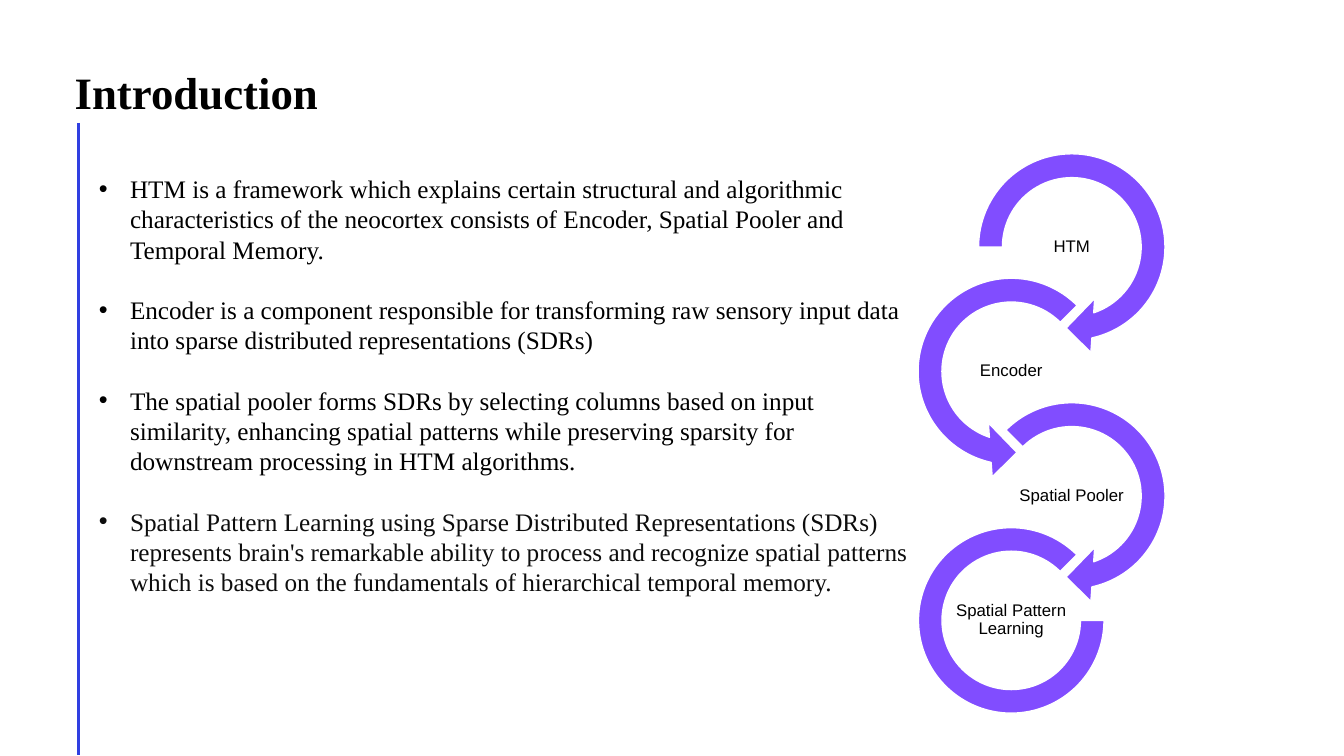
from dataclasses import dataclass

from lxml import etree
from pptx import Presentation
from pptx.dml.color import RGBColor
from pptx.enum.shapes import MSO_CONNECTOR, MSO_SHAPE
from pptx.enum.text import MSO_ANCHOR, MSO_AUTO_SIZE, PP_ALIGN
from pptx.oxml.ns import qn
from pptx.util import Inches, Pt

RIGHT_ARROW = MSO_SHAPE.CIRCULAR_ARROW
LEFT_ARROW = MSO_SHAPE.LEFT_CIRCULAR_ARROW
ARC = MSO_SHAPE.BLOCK_ARC
STRAIGHT = MSO_CONNECTOR.STRAIGHT
MIDDLE, TOP = MSO_ANCHOR.MIDDLE, MSO_ANCHOR.TOP
LEFT, CENTER = PP_ALIGN.LEFT, PP_ALIGN.CENTER


@dataclass(frozen=True)
class Theme:
    text: RGBColor = RGBColor(0, 0, 0)
    soft_text: RGBColor = RGBColor(0x0D, 0x0D, 0x0D)
    ring: RGBColor = RGBColor(0x81, 0x4D, 0xFF)
    outline: RGBColor = RGBColor(0xFF, 0xFF, 0xFF)
    rule: RGBColor = RGBColor(0x30, 0x3F, 0xE1)
    serif: str = "Times New Roman"
    sans: str = "Arial"
    title_size: Pt = Pt(32)
    body_size: Pt = Pt(18)
    body_line: Pt = Pt(21.6)
    label_size: Pt = Pt(12)


THEME = Theme()

BULLETS = [
    ("HTM is a framework which explains certain structural and algorithmic "
     "characteristics of the neocortex consists of Encoder, Spatial Pooler and "
     "Temporal Memory.", THEME.text),
    ("Encoder is a component responsible for transforming raw sensory input data "
     "into sparse distributed representations (SDRs)", THEME.text),
    ("The spatial pooler forms SDRs by selecting columns based on input "
     "similarity, enhancing spatial patterns while preserving sparsity for "
     "downstream processing in HTM algorithms.", THEME.text),
    ("Spatial Pattern Learning using Sparse Distributed Representations (SDRs) "
     "represents brain's remarkable ability to process and recognize spatial "
     "patterns which is based on the fundamentals of hierarchical temporal "
     "memory.", THEME.soft_text),
]

# Stage label, ring preset, ring size, ring adjustments
STAGES = [
    ("HTM", RIGHT_ARROW, 2.15, (0.11, 11.42, 45, 108, 0.125)),
    ("Encoder", LEFT_ARROW, 2.15, (0.11, 11.42, 63, 189, 0.125)),
    ("Spatial Pooler", RIGHT_ARROW, 2.15, (0.11, 11.42, 45, 135, 0.125)),
    ("Spatial Pattern Learning", ARC, 1.84, (0, 189, 0.127)),
]
RING_CENTERS_X = (10.63, 10.03)
FIRST_CENTER_Y, STAGE_STEP = 2.45, 1.235


def place(sp, x, y, w, h):
    sp.left, sp.top, sp.width, sp.height = map(Inches, (x, y, w, h))


def add_run(p, text, font, size, color, bold=False):
    r = p.add_run()
    r.text = text
    r.font.name, r.font.size, r.font.bold = font, size, bold
    r.font.color.rgb = color


def setup_frame(tf, anchor):
    tf.word_wrap = True
    tf.auto_size = MSO_AUTO_SIZE.NONE
    tf.vertical_anchor = anchor


def add_title(s, text):
    sp = s.shapes.title
    place(sp, 0.64, 0.65, 8.27, 0.59)
    setup_frame(sp.text_frame, MIDDLE)
    p = sp.text_frame.paragraphs[0]
    p.alignment, p.line_spacing = LEFT, 0.9
    add_run(p, text, THEME.serif, THEME.title_size, THEME.text, bold=True)


def add_bullets(s, items):
    sp = s.placeholders[1]
    place(sp, 0.88, 1.67, 8.27, 5.25)
    tf = sp.text_frame
    setup_frame(tf, TOP)
    for i, (text, color) in enumerate(items):
        p = tf.add_paragraph() if i else tf.paragraphs[0]
        p.line_spacing = THEME.body_line
        p.space_before, p.space_after = Pt(0), THEME.body_line
        pPr = p._p.get_or_add_pPr()
        pPr.set("marL", str(Inches(0.31)))
        pPr.set("indent", str(-Inches(0.31)))
        etree.SubElement(pPr, qn("a:buFont")).set("typeface", THEME.sans)
        etree.SubElement(pPr, qn("a:buChar")).set("char", "•")
        add_run(p, text, THEME.serif, THEME.body_size, color)


def add_rule(s, x, top, bottom):
    line = s.shapes.add_connector(STRAIGHT, Inches(x), Inches(top),
                                  Inches(x), Inches(bottom))
    line.line.color.rgb = THEME.rule
    line.line.width = Pt(2)
    etree.SubElement(line._element.spPr, qn("a:effectLst"))


def add_ring(s, preset, cx, cy, size, adjustments):
    sp = s.shapes.add_shape(preset, Inches(cx - size / 2), Inches(cy - size / 2),
                            Inches(size), Inches(size))
    for i, value in enumerate(adjustments):
        sp.adjustments[i] = value
    sp.shadow.inherit = False
    sp.fill.solid()
    sp.fill.fore_color.rgb = THEME.ring
    sp.line.color.rgb = THEME.outline
    sp.line.width = Pt(1)


def add_label(s, text, cx, cy, w=1.2, h=0.6):
    sp = s.shapes.add_textbox(Inches(cx - w / 2), Inches(cy - h / 2),
                              Inches(w), Inches(h))
    tf = sp.text_frame
    setup_frame(tf, MIDDLE)
    tf.margin_left = tf.margin_right = Inches(0.01)
    tf.margin_top = tf.margin_bottom = Inches(0.01)
    p = tf.paragraphs[0]
    p.alignment, p.line_spacing = CENTER, 0.9
    add_run(p, text, THEME.sans, THEME.label_size, THEME.text)


def main():
    prs = Presentation()
    prs.slide_width, prs.slide_height = Inches(13.33), Inches(7.5)
    s = prs.slides.add_slide(prs.slide_layouts[1])

    # Heading and explanation
    add_rule(s, 0.78, 1.22, 7.49)
    add_title(s, "Introduction")
    add_bullets(s, BULLETS)

    # Chain of stages, alternating right and left
    for i, (label, preset, size, adjustments) in enumerate(STAGES):
        cx = RING_CENTERS_X[i % 2]
        cy = FIRST_CENTER_Y + i * STAGE_STEP
        add_ring(s, preset, cx, cy, size, adjustments)
        add_label(s, label, cx, cy)

    prs.save("out.pptx")


if __name__ == "__main__":
    main()
